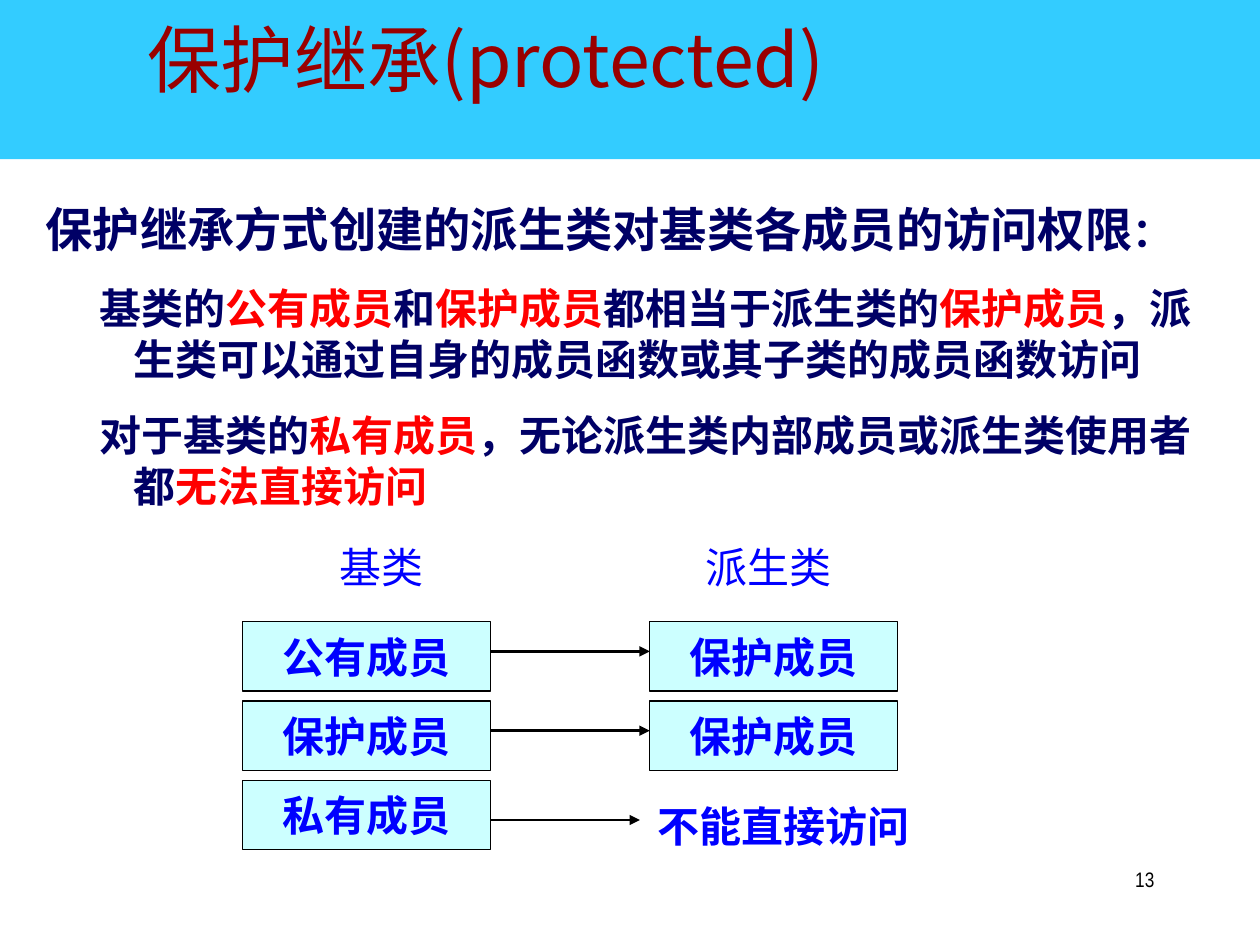
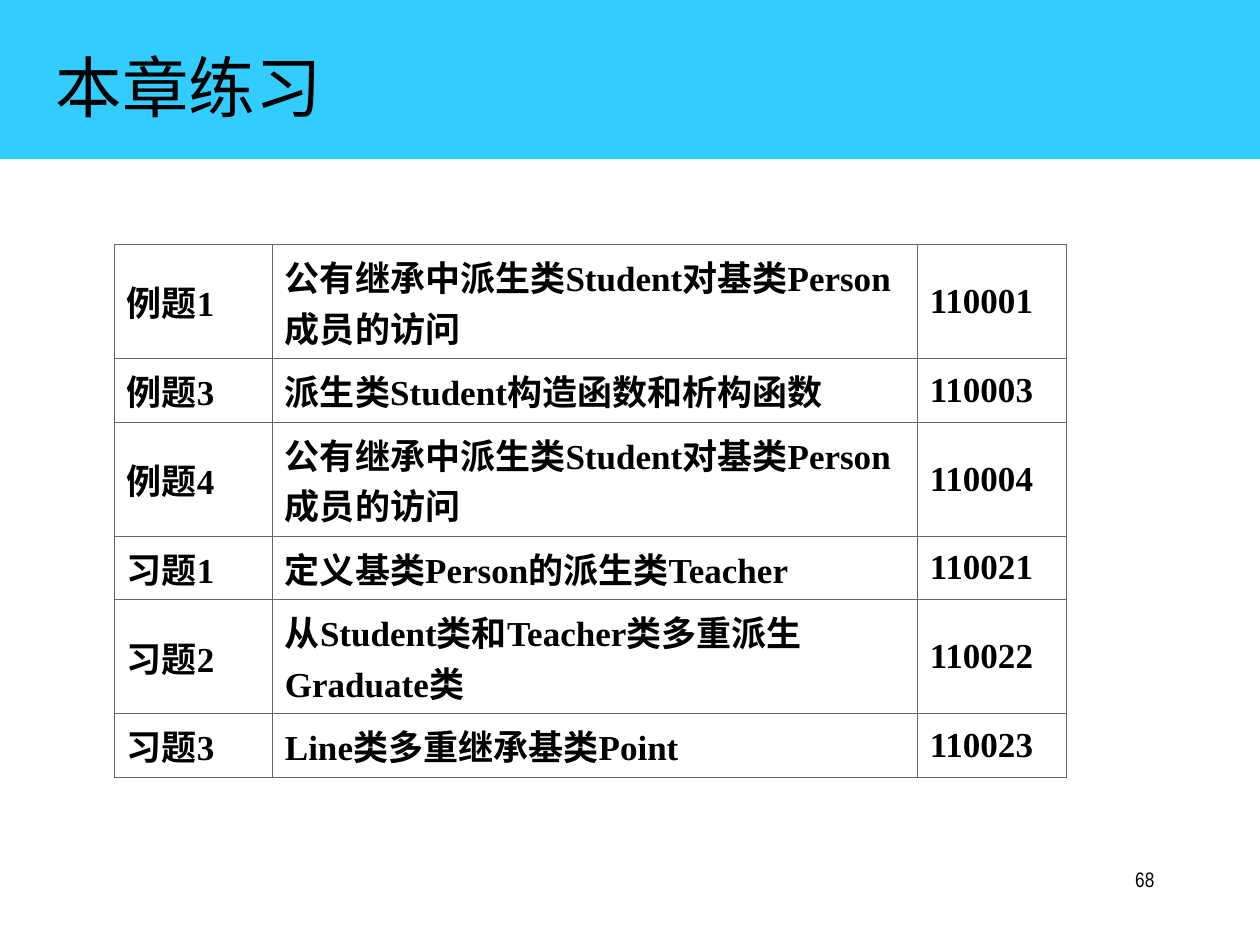
from lxml import etree
from pptx import Presentation
from pptx.dml.color import RGBColor
from pptx.enum.shapes import MSO_CONNECTOR, MSO_SHAPE
from pptx.enum.text import MSO_ANCHOR, PP_ALIGN
from pptx.oxml.ns import qn
from pptx.util import Cm, Pt

RECT, STRAIGHT = MSO_SHAPE.RECTANGLE, MSO_CONNECTOR.STRAIGHT
TOP, MIDDLE = MSO_ANCHOR.TOP, MSO_ANCHOR.MIDDLE
LEFT, CENTER, RIGHT = PP_ALIGN.LEFT, PP_ALIGN.CENTER, PP_ALIGN.RIGHT

# Shared colours and fonts
SKY = RGBColor(0x33, 0xCC, 0xFF)
ICE = RGBColor(0xCC, 0xFF, 0xFF)
WHITE = RGBColor(0xFF, 0xFF, 0xFF)
MAROON = RGBColor(0x99, 0x00, 0x00)
NAVY = RGBColor(0x00, 0x00, 0x66)
RED = RGBColor(0xFF, 0x00, 0x00)
BLUE = RGBColor(0x00, 0x00, 0xFF)
BLACK = RGBColor(0x00, 0x00, 0x00)
GRID = "666666"
CJK, NARROW, SERIF = "Noto Sans CJK SC", "Arial Narrow", "Times New Roman"

# Body of the first slide: paragraphs of (text, colour) runs
HEADING = "保护继承方式创建的派生类对基类各成员的访问权限"
RULES = [
    [("基类的", NAVY), ("公有成员", RED), ("和", NAVY), ("保护成员", RED),
     ("都相当于派生类的", NAVY), ("保护成员", RED),
     ("，派生类可以通过自身的成员函数或其子类的成员函数访问", NAVY)],
    [("对于基类的", NAVY), ("私有成员", RED),
     ("，无论派生类内部成员或派生类使用者都", NAVY), ("无法直接访问", RED)],
]
BASE_MEMBERS = ["公有成员", "保护成员", "私有成员"]
DERIVED_MEMBERS = ["保护成员", "保护成员"]

EXERCISES = [
    ("例题1", "公有继承中派生类Student对基类Person成员的访问", "110001"),
    ("例题3", "派生类Student构造函数和析构函数", "110003"),
    ("例题4", "公有继承中派生类Student对基类Person成员的访问", "110004"),
    ("习题1", "定义基类Person的派生类Teacher", "110021"),
    ("习题2", "从Student类和Teacher类多重派生Graduate类", "110022"),
    ("习题3", "Line类多重继承基类Point", "110023"),
]


def add_run(p, text, size, color, font=NARROW, bold=False):
    r = p.add_run()
    r.text = text
    r.font.size, r.font.name, r.font.bold = Pt(size), font, bold
    r.font.color.rgb = color
    ea = etree.SubElement(r._r.get_or_add_rPr(), qn("a:ea"))
    ea.set("typeface", CJK)


def set_frame(tf, anchor, wrap=True, side=0.23, edge=0.1):
    tf.word_wrap, tf.vertical_anchor = wrap, anchor
    tf.margin_left = tf.margin_right = Cm(side)
    tf.margin_top = tf.margin_bottom = Cm(edge)


def add_text(slide, box, text, size, color, font=NARROW,
             align=LEFT, anchor=MIDDLE, wrap=True):
    tf = slide.shapes.add_textbox(*map(Cm, box)).text_frame
    set_frame(tf, anchor, wrap)
    p = tf.paragraphs[0]
    p.alignment = align
    add_run(p, text, size, color, font)


def add_rect(slide, box, fill):
    sp = slide.shapes.add_shape(RECT, *map(Cm, box))
    sp.shadow.inherit = False
    sp.fill.solid()
    sp.fill.fore_color.rgb = fill
    sp.line.fill.background()
    return sp


def add_member_box(slide, box, text, fill=ICE, border=BLACK):
    sp = add_rect(slide, box, fill)
    sp.line.color.rgb, sp.line.width = border, Pt(0.75)
    set_frame(sp.text_frame, MIDDLE, False, 0, 0.13)
    p = sp.text_frame.paragraphs[0]
    p.alignment = CENTER
    add_run(p, text, 24, BLUE, bold=True)


def add_arrow(slide, x1, x2, y):
    line = slide.shapes.add_connector(STRAIGHT, Cm(x1), Cm(y), Cm(x2), Cm(y))
    line.line.color.rgb, line.line.width = BLACK, Pt(1.5)
    tail = etree.SubElement(line.line._get_or_add_ln(), qn("a:tailEnd"))
    tail.set("type", "triangle")
    etree.SubElement(line._element.spPr, qn("a:effectLst"))


def set_indent(p, left, hanging):
    pPr = p._p.get_or_add_pPr()
    pPr.set("marL", str(Cm(left)))
    pPr.set("indent", str(-Cm(hanging)))


def add_body(slide, box):
    tf = slide.shapes.add_textbox(*map(Cm, box)).text_frame
    set_frame(tf, TOP)
    p = tf.paragraphs[0]
    set_indent(p, 0.81, 0.81)
    add_run(p, HEADING, 27, NAVY, CJK, True)
    add_run(p, "：", 23, NAVY, CJK, True)
    for runs in RULES:
        p = tf.add_paragraph()
        set_indent(p, 1.78, 0.69)
        p.space_before = Pt(15)
        for text, color in runs:
            add_run(p, text, 24, color, CJK, True)


def add_access_diagram(slide):
    base_x, derived_x, width, height = 4.89, 13.1, 5, 1.4
    top, pitch = 12.53, 1.6
    for x, label in ((5.69, "基类"), (13.49, "派生类")):
        add_text(slide, (x, 10.92, 3.99, 0.99), label, 24, BLUE,
                 align=CENTER, wrap=False)
    for x, members in ((base_x, BASE_MEMBERS), (derived_x, DERIVED_MEMBERS)):
        for i, member in enumerate(members):
            add_member_box(slide, (x, top + i * pitch, width, height), member)
    add_member_box(slide, (derived_x, 15.94, 5.41, height), "不能直接访问",
                   WHITE, WHITE)
    for x_end, y in ((derived_x, 13.13), (derived_x, 14.73), (12.9, 16.53)):
        add_arrow(slide, base_x + width, x_end, y)


def set_borders(cell):
    tcPr = cell._tc.get_or_add_tcPr()
    for i, side in enumerate(("lnL", "lnR", "lnT", "lnB")):
        ln = etree.Element(qn("a:" + side), w=str(Pt(0.45)))
        fill = etree.SubElement(ln, qn("a:solidFill"))
        etree.SubElement(fill, qn("a:srgbClr"), val=GRID)
        tcPr.insert(i, ln)


def add_exercise_table(slide):
    widths, heights = (3.19, 13, 3), (2.3, 1.28)
    table = slide.shapes.add_table(len(EXERCISES), len(widths), Cm(2.3), Cm(4.93),
                                   Cm(sum(widths)), Cm(3 * sum(heights))).table
    table.first_row = table.horz_banding = False
    for col, width in zip(table.columns, widths):
        col.width = Cm(width)
    for i, values in enumerate(EXERCISES):
        table.rows[i].height = Cm(heights[i % 2])
        for j, value in enumerate(values):
            cell = table.cell(i, j)
            cell.vertical_anchor = MIDDLE
            cell.fill.background()
            set_borders(cell)
            add_run(cell.text_frame.paragraphs[0], value, 20, BLACK, SERIF, True)


def add_slide(prs, number):
    """Blank slide with the title band and page number."""
    slide = prs.slides.add_slide(prs.slide_layouts[6])
    add_rect(slide, (0, 0, 25.4, 3.21), SKY)
    add_text(slide, (18.22, 17.36, 5.28, 1.27), number, 12, BLACK,
             align=RIGHT, anchor=TOP)
    return slide


def main():
    prs = Presentation()
    prs.slide_width, prs.slide_height = Cm(25.4), Cm(19.05)

    # Protected inheritance
    slide = add_slide(prs, "13")
    add_text(slide, (2.74, -0.42, 21.64, 3.18), "保护继承(protected)", 42, MAROON, CJK)
    add_body(slide, (0.69, 3.93, 24.2, 8.79))
    add_access_diagram(slide)

    # Chapter exercises
    slide = add_slide(prs, "68")
    add_text(slide, (0.89, 0.56, 23.4, 2.36), "本章练习", 38, BLACK)
    add_exercise_table(slide)

    prs.save("out.pptx")


if __name__ == "__main__":
    main()
